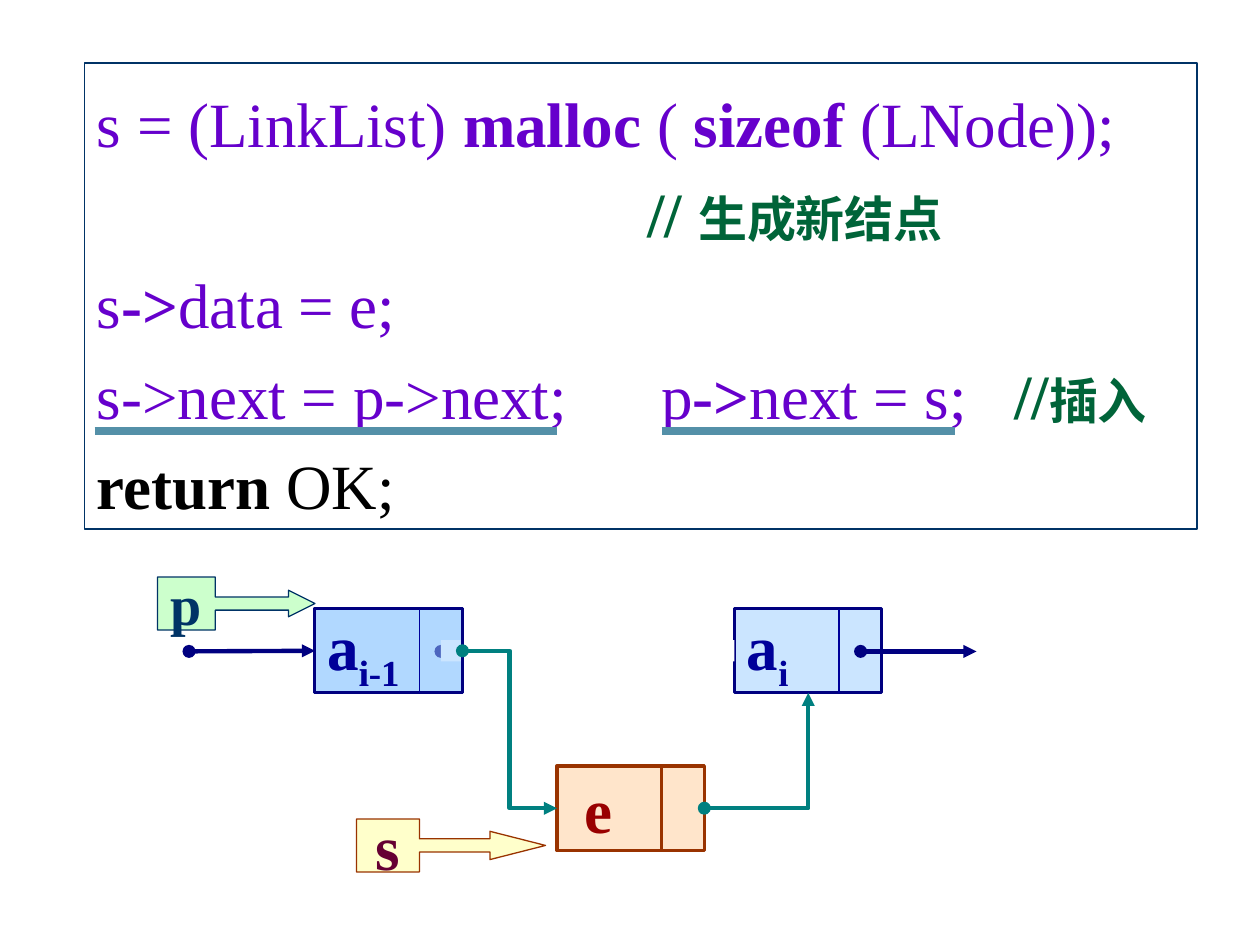
from lxml import etree
from pptx import Presentation
from pptx.dml.color import RGBColor
from pptx.enum.shapes import MSO_CONNECTOR as CONNECTOR, MSO_SHAPE as SHAPE
from pptx.enum.text import MSO_ANCHOR as ANCHOR, PP_ALIGN as ALIGN
from pptx.oxml.ns import qn
from pptx.util import Inches, Pt

LATIN, CJK = "Times New Roman", "Noto Sans CJK SC"
PURPLE, GREEN, BLACK = "6600CC", "006439", "000000"
NAVY, TEAL, BROWN, SLATE = "000080", "008080", "993300", "003366"
TOP, LEFT, BOTTOM, RIGHT = range(4)  # connection sites of a rectangle
NODE_WIDTH, NODE_HEIGHT, DATA_WIDTH = 1.17, 0.67, 0.83


def color(value):
    return RGBColor.from_string(value)


def add_text(paragraph, text, size, text_color, bold=False, font=LATIN):
    run = paragraph.add_run()
    run.text = text
    run.font.size = Pt(size)
    run.font.bold = bold
    run.font.color.rgb = color(text_color)
    run.font.name = font
    properties = run._r.get_or_add_rPr()
    etree.SubElement(properties, qn("a:ea")).set("typeface", font)
    return run


def add_block(slide, kind, box, fill, line=None, width=1, alpha=None):
    shape = slide.shapes.add_shape(kind, *map(Inches, box))
    shape.shadow.inherit = False
    shape.fill.solid()
    shape.fill.fore_color.rgb = color(fill)
    if alpha:
        fill_color = shape._element.spPr.find(qn("a:solidFill"))[0]
        etree.SubElement(fill_color, qn("a:alpha")).set("val", str(alpha * 1000))
    if line:
        shape.line.color.rgb = color(line)
        shape.line.width = Pt(width)
    else:
        shape.line.fill.background()
    return shape


def add_line(slide, start, end, line_color, width, arrow=False,
             kind=CONNECTOR.STRAIGHT):
    connector = slide.shapes.add_connector(kind, *map(Inches, (*start, *end)))
    connector.line.color.rgb = color(line_color)
    connector.line.width = Pt(width)
    if arrow:
        line = connector.line._get_or_add_ln()
        etree.SubElement(line, qn("a:headEnd")).set("type", "oval")
        etree.SubElement(line, qn("a:tailEnd")).set("type", "triangle")
    etree.SubElement(connector._element.spPr, qn("a:effectLst"))
    return connector


def add_code_panel(slide, left, top, width, height):
    """Framed code listing with two underlined statements."""
    panel = slide.shapes.add_textbox(*map(Inches, (left, top, width, height)))
    panel.line.color.rgb = color(SLATE)
    panel.line.width = Pt(0.75)
    frame = panel.text_frame
    frame.word_wrap = True
    code_lines = [
        [("s = (LinkList) ", PURPLE, False), ("malloc ", PURPLE, True),
         ("( ", PURPLE, False), ("sizeof ", PURPLE, True),
         ("(LNode));", PURPLE, False)],
        [("// ", GREEN, True), ("生成新结点", GREEN, True, CJK)],
        [("s", PURPLE, False), ("->", PURPLE, True), ("data = e;", PURPLE, False)],
        [("s->next = p->next;\tp", PURPLE, False), ("->", PURPLE, True),
         ("next = s;\t", PURPLE, False), ("//", GREEN, True),
         ("插入", GREEN, True, CJK)],
        [("return", BLACK, True), (" OK;", BLACK, False)],
    ]
    for index, runs in enumerate(code_lines):
        paragraph = frame.add_paragraph() if index else frame.paragraphs[0]
        paragraph.line_spacing = 1.2
        for text, text_color, bold, *font in runs:
            add_text(paragraph, text, 28 if font else 36, text_color, bold, *font)

    # Comment indent and the columns of the fourth line
    comment = frame.paragraphs[1]._p.get_or_add_pPr()
    comment.set("marL", str(Inches(4.37)))
    comment.set("indent", "0")
    columns = etree.SubElement(frame.paragraphs[3]._p.get_or_add_pPr(), qn("a:tabLst"))
    for position in (4.48, 7.28):
        tab = etree.SubElement(columns, qn("a:tab"))
        tab.set("pos", str(Inches(position)))
        tab.set("algn", "l")
    return [(left + start, left + end, top + 2.92)
            for start, end in ((0.08, 3.75), (4.58, 6.91))]


def add_node(slide, left, top, label, subscript="", fill="99CCFF", line=NAVY,
             width=1.75, text_color="000099", inset=0.1):
    """Data cell of a list node; the label is left-aligned."""
    node = add_block(slide, SHAPE.RECTANGLE, (left, top, NODE_WIDTH, NODE_HEIGHT),
                     fill, line, width, alpha=50)
    frame = node.text_frame
    frame.vertical_anchor = ANCHOR.MIDDLE
    frame.margin_left = Inches(inset)
    paragraph = frame.paragraphs[0]
    paragraph.alignment = ALIGN.LEFT
    add_text(paragraph, label, 36, text_color, True)
    if subscript:
        run = add_text(paragraph, subscript, 36, text_color, True)
        run._r.get_or_add_rPr().set("baseline", "-25000")
    return node


def add_divider(slide, left, top, line_color="000099", width=0.75):
    x = left + DATA_WIDTH
    add_line(slide, (x, top), (x, top + NODE_HEIGHT), line_color, width)


def add_pointer(slide, box, label, size, text_color, fill, line, adjustments,
                alpha=None):
    """Callout arrow that names a pointer."""
    pointer = add_block(slide, SHAPE.RIGHT_ARROW_CALLOUT, box, fill, line, 0.75, alpha)
    for index, value in enumerate(adjustments):
        pointer.adjustments[index] = value
    frame = pointer.text_frame
    frame.word_wrap = False
    frame.vertical_anchor = ANCHOR.MIDDLE
    paragraph = frame.paragraphs[0]
    paragraph.alignment = ALIGN.CENTER
    add_text(paragraph, label, size, text_color, True)


def add_list_diagram(slide, left, top):
    """Insertion of node e between two neighbours."""
    row, middle = top + 0.25, top + 0.59
    previous_left, next_left, new_left = left + 1.25, left + 4.58, left + 3.17
    new_top = row + 1.25

    # New node
    new_node = add_node(slide, new_left, new_top, "e", "", "FFCC99", BROWN, 2,
                        "990000", 0.22)
    add_divider(slide, new_left, new_top, BROWN, 2)

    # Neighbours and the replaced link, masked down to its faint start
    previous = add_node(slide, previous_left, row, "a", "i-1")
    entry = add_line(slide, (left + 0.25, middle), (previous_left, middle),
                     NAVY, 2.5, True)
    entry.end_connect(previous, LEFT)
    following = add_node(slide, next_left, row, "a", "i")
    add_divider(slide, next_left, row)
    replaced = add_line(slide, (previous_left + 1, middle), (next_left, middle),
                        NAVY, 2.5, True)
    replaced.end_connect(following, LEFT)
    add_line(slide, (next_left + 1, middle), (next_left + 1.92, middle),
             NAVY, 2.5, True)
    add_block(slide, SHAPE.RECTANGLE,
              (previous_left + 1, row + 0.25, 2.33, 0.17), "FFFFFF")
    previous = add_node(slide, previous_left, row, "a", "i-1")
    add_divider(slide, previous_left, row)

    # New links
    into_new = add_line(slide, (previous_left + NODE_WIDTH, middle),
                        (new_left, new_top + NODE_HEIGHT / 2),
                        TEAL, 2.5, True, CONNECTOR.ELBOW)
    into_new.begin_connect(previous, RIGHT)
    into_new.end_connect(new_node, LEFT)
    out_of_new = add_line(slide, (new_left + NODE_WIDTH, new_top + NODE_HEIGHT / 2),
                          (next_left + NODE_WIDTH / 2, row + NODE_HEIGHT),
                          TEAL, 2.5, True, CONNECTOR.ELBOW)
    out_of_new._element.spPr.find(qn("a:prstGeom")).set("prst", "bentConnector2")
    out_of_new.begin_connect(new_node, RIGHT)
    out_of_new.end_connect(following, BOTTOM)

    # Pointers
    add_pointer(slide, (left + 1.58, top + 1.92, 1.5, 0.42), "s", 36, "660033",
                "FFFF99", BROWN, (0.25, 0.267, 1.05, 0.333), alpha=50)
    add_pointer(slide, (left, top, 1.25, 0.42), "p", 32, SLATE,
                "CCFFCC", SLATE, (0.25, 0.25, 0.5, 0.367))


def main():
    presentation = Presentation()
    presentation.slide_width, presentation.slide_height = Inches(10), Inches(7.5)
    slide = presentation.slides.add_slide(presentation.slide_layouts[6])
    underlines = add_code_panel(slide, 0.67, 0.5, 8.83, 3.7)
    add_list_diagram(slide, 1.25, 4.58)
    for start, end, y in underlines:
        add_line(slide, (start, y), (end, y), "5490A8", 4.5)
    presentation.save("out.pptx")


if __name__ == "__main__":
    main()
